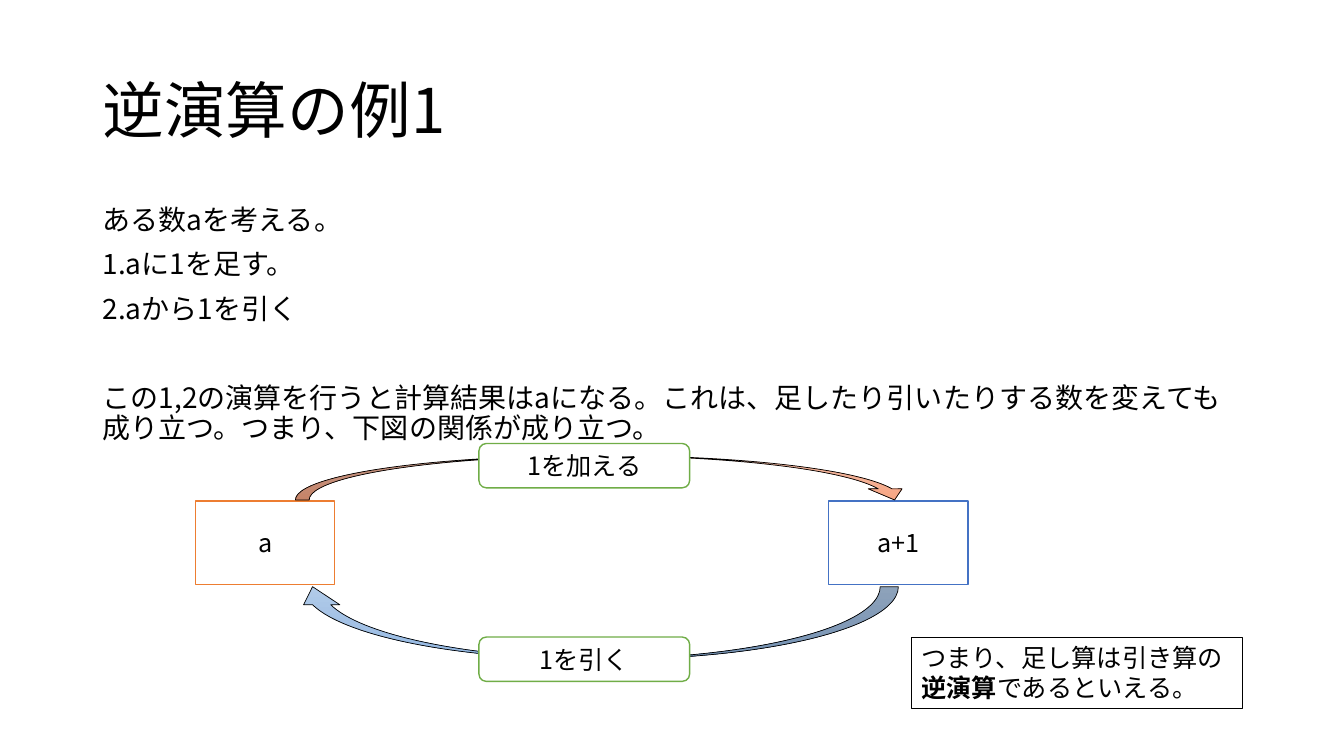
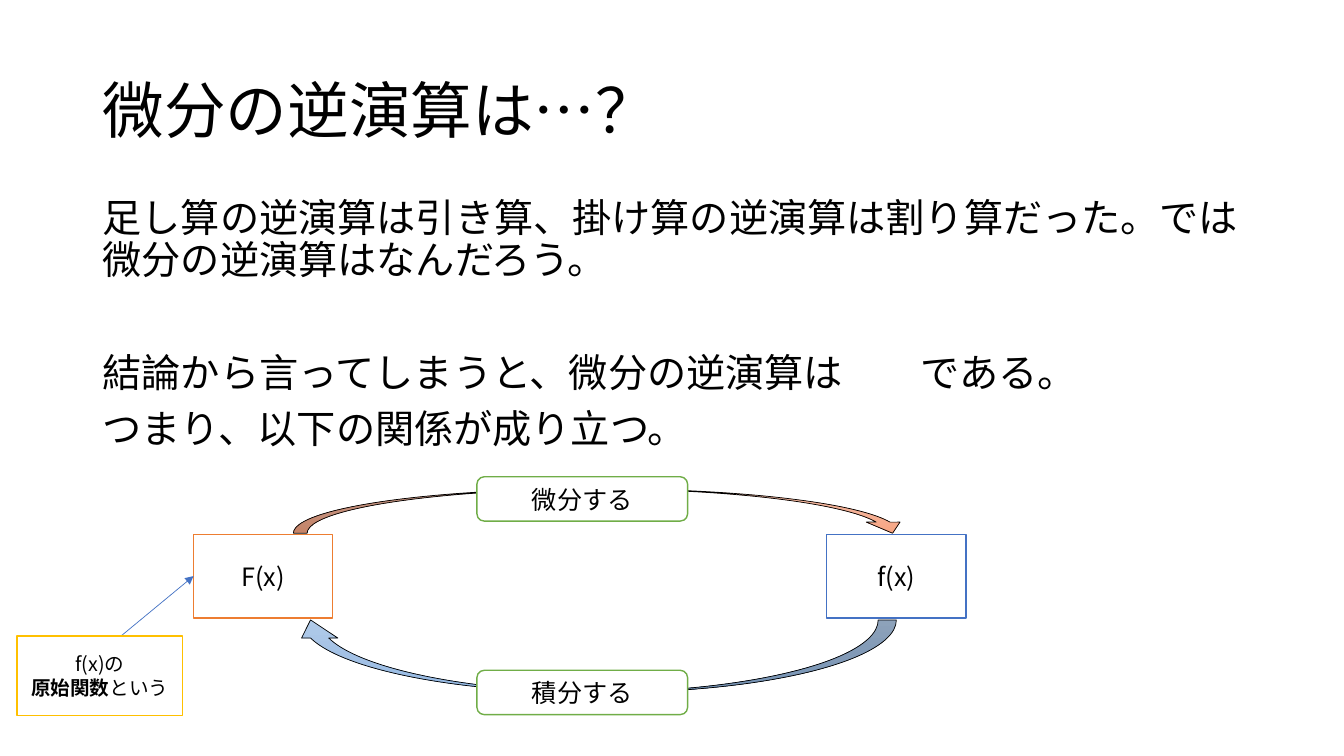
import copy

import lxml.etree
import pptx
import pptx.dml.color
import pptx.enum.shapes
import pptx.enum.text
import pptx.oxml.ns
import pptx.util

PX = 9144
FONT = "Noto Sans CJK JP"
BLACK, WHITE = "000000", "FFFFFF"
ORANGE, BLUE, GREEN, GOLD = "ED7D31", "4472C4", "70AD47", "FFC000"
ORANGE_FADE = ("F7BDA5", "F5B196", "F8A582")
BLUE_FADE = ("B1CBE9", "A3C1E5", "93B9E4")
SHAPES = pptx.enum.shapes.MSO_SHAPE
ALIGN = pptx.enum.text.PP_ALIGN
ANCHOR = pptx.enum.text.MSO_ANCHOR


def px(*lengths):
    return [pptx.util.Emu(length * PX) for length in lengths]


def color(value):
    return pptx.dml.color.RGBColor.from_string(value)


def add_tag(parent, tag, **attributes):
    return lxml.etree.SubElement(parent, pptx.oxml.ns.qn(tag), **attributes)


def write(box, *lines, size=18, align=ALIGN.CENTER, anchor=ANCHOR.MIDDLE,
          line_spacing=None, before=0):
    frame = box.text_frame
    frame.word_wrap = True
    frame.vertical_anchor = anchor
    for index, line in enumerate(lines):
        para = frame.add_paragraph() if index else frame.paragraphs[0]
        para.alignment = align
        para.line_spacing = line_spacing
        para.space_before = pptx.util.Pt(before)
        for part, text in enumerate(line.split("**")):
            span = para.add_run()
            span.text = text
            span.font.size = pptx.util.Pt(size)
            span.font.bold = part % 2 == 1
            span.font.color.rgb = color(BLACK)
            span.font.name = FONT
            add_tag(span.font._element, "a:ea", typeface=FONT)
    return frame.paragraphs


def add_box(page, area, line, *lines, kind=SHAPES.RECTANGLE, fill=WHITE,
            width=1, **text_format):
    box = page.shapes.add_shape(kind, *px(*area))
    box.shadow.inherit = False
    if fill:
        box.fill.solid()
        box.fill.fore_color.rgb = color(fill)
    else:
        box.fill.background()
    box.line.color.rgb = color(line)
    box.line.width = pptx.util.Pt(width)
    if lines:
        write(box, *lines, **text_format)
    return box


def add_curved_arrow(page, area, kind, fade):
    arrow = add_box(page, area, BLACK, kind=kind, width=0.5)
    arrow.fill.gradient()
    arrow.fill.gradient_angle = 270
    stops = next(arrow.element.iter(pptx.oxml.ns.qn("a:gsLst")))
    stops.append(copy.deepcopy(stops[0]))
    for index, stop in enumerate(arrow.fill.gradient_stops):
        stop.position = index / 2
        stop.color.rgb = color(fade[index])
    return arrow


def add_page(deck, title, body_area, *lines, size):
    page = deck.slides.add_slide(deck.slide_layouts[6])
    heading = page.shapes.add_textbox(*px(92, 40, 1150, 145))
    write(heading, title, size=44, align=ALIGN.LEFT, line_spacing=0.9)
    body = page.shapes.add_textbox(*px(*body_area))
    paras = write(body, *lines, size=size, align=ALIGN.LEFT,
                  anchor=ANCHOR.TOP, line_spacing=0.9, before=10)
    return page, paras


def add_cycle(page, left, top, start, end, forward, backward):
    start_box = add_box(page, (left, top, 138, 83), ORANGE, start)
    add_box(page, (left + 628, top, 138, 83), BLUE, end)
    over = add_curved_arrow(page, (left + 99, top - 45, 611, 44),
                            SHAPES.CURVED_DOWN_ARROW, ORANGE_FADE)
    for index, value in enumerate((0.31, 0.76, 0.25)):
        over.adjustments[index] = value
    under = add_curved_arrow(page, (left + 98, top + 85, 599, 72),
                             SHAPES.CURVED_UP_ARROW, BLUE_FADE)
    under.element.spPr.xfrm.set("flipH", "1")
    for label, offset in ((forward, -57), (backward, 135)):
        add_box(page, (left + 281, top + offset, 209, 44), GREEN, label,
                kind=SHAPES.ROUNDED_RECTANGLE)
    return start_box


def add_pointer(page, start, target):
    pointer = page.shapes.add_connector(
        pptx.enum.shapes.MSO_CONNECTOR.STRAIGHT, *px(*start, *start))
    pointer.end_connect(target, 1)
    pointer.line.color.rgb = color(BLUE)
    pointer.line.width = pptx.util.Pt(0.5)
    add_tag(pointer.line._get_or_add_ln(), "a:tailEnd", type="triangle")
    add_tag(pointer._element.spPr, "a:effectLst")


def add_addition_page(deck):
    page, paras = add_page(
        deck, "逆演算の例1", (92, 200, 1150, 283),
        "ある数aを考える。", "1.aに1を足す。", "2.aから1を引く",
        "この1,2の演算を行うと計算結果はaになる。これは、足したり引いたりする数を"
        "変えても成り立つ。つまり、下図の関係が成り立つ。", size=20)
    paras[3].space_before = pptx.util.Pt(42)
    add_cycle(page, 194, 497, "a", "a+1", "1を加える", "1を引く")
    add_box(page, (904, 632, 328, 71), BLACK,
            "つまり、足し算は引き算の**逆演算**であるといえる。",
            fill=None, width=0.75, align=ALIGN.LEFT, anchor=ANCHOR.TOP)


def add_derivative_page(deck):
    page, paras = add_page(
        deck, "微分の逆演算は…？", (92, 192, 1150, 302),
        "足し算の逆演算は引き算、掛け算の逆演算は割り算だった。では"
        "微分の逆演算はなんだろう。",
        "結論から言ってしまうと、微分の逆演算は\tである。",
        "つまり、以下の関係が成り立つ。", size=28)
    paras[1].space_before = pptx.util.Pt(50)
    tabs = add_tag(paras[1]._p.get_or_add_pPr(), "a:tabLst")
    add_tag(tabs, "a:tab", pos=str(811 * PX), algn="l")
    start_box = add_cycle(page, 192, 530, "F(x)", "f(x)", "微分する", "積分する")
    add_pointer(page, (120, 631), start_box)
    add_box(page, (17, 631, 164, 79), GOLD, "f(x)の", "**原始関数**という",
            size=14)


def main():
    deck = pptx.Presentation()
    deck.slide_width, deck.slide_height = px(1333, 750)
    add_addition_page(deck)
    add_derivative_page(deck)
    deck.save("out.pptx")


if __name__ == "__main__":
    main()
